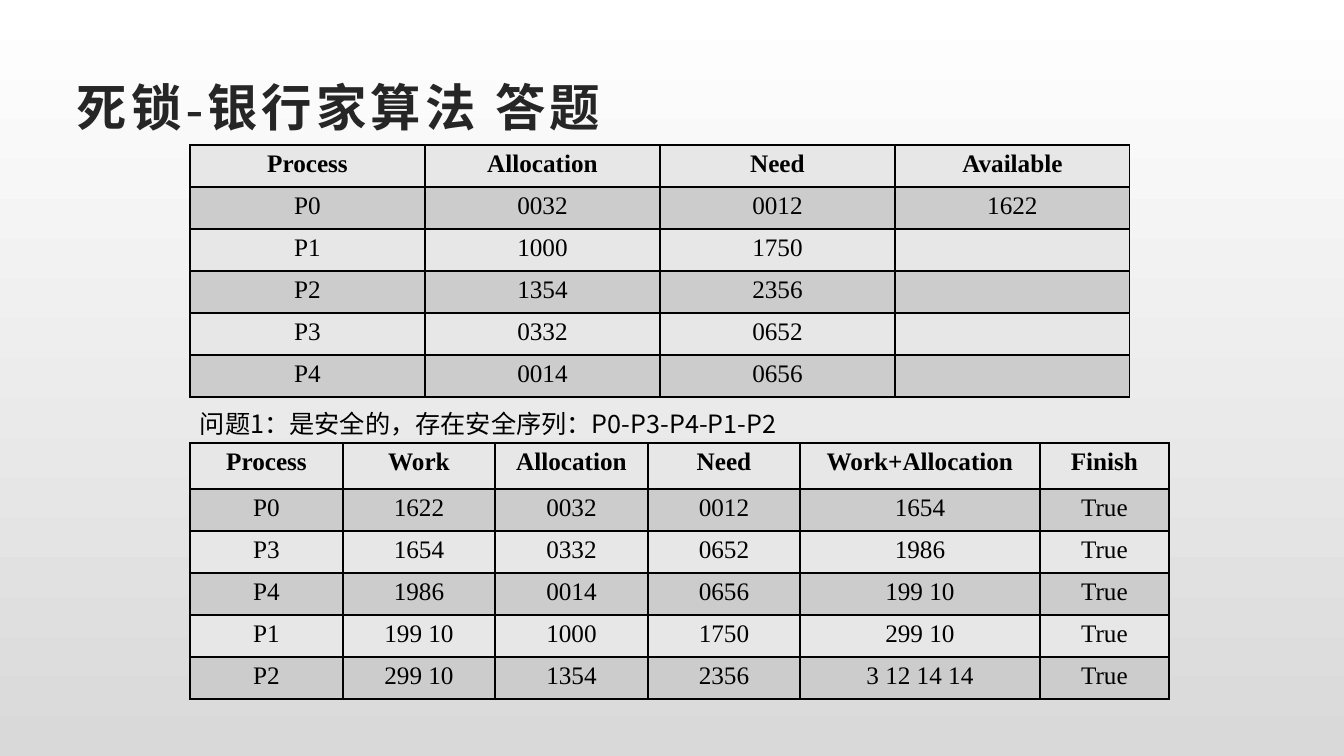
from lxml.etree import SubElement
from pptx import Presentation
from pptx.dml.color import RGBColor
from pptx.enum.text import MSO_ANCHOR, PP_ALIGN
from pptx.oxml.ns import qn
from pptx.util import Pt

TITLE = "死锁-银行家算法 答题"
ANSWER = "问题1：是安全的，存在安全序列：P0-P3-P4-P1-P2"

STATE = [
    ("Process", "Allocation", "Need", "Available"),
    ("P0", "0032", "0012", "1622"),
    ("P1", "1000", "1750", ""),
    ("P2", "1354", "2356", ""),
    ("P3", "0332", "0652", ""),
    ("P4", "0014", "0656", ""),
]
CHECK = [
    ("Process", "Work", "Allocation", "Need", "Work+Allocation", "Finish"),
    ("P0", "1622", "0032", "0012", "1654", "True"),
    ("P3", "1654", "0332", "0652", "1986", "True"),
    ("P4", "1986", "0014", "0656", "199 10", "True"),
    ("P1", "199 10", "1000", "1750", "299 10", "True"),
    ("P2", "299 10", "1354", "2356", "3 12 14 14", "True"),
]

WIDE, HIGH = 1344, 756
LEFT = 190
ROW = 42
STATE_COLS = [235] * 4
CHECK_COLS = [153, 152, 153, 152, 240, 129]

BLACK = RGBColor(0x00, 0x00, 0x00)
DARK = RGBColor(0x26, 0x26, 0x26)
WHITE = RGBColor(0xFF, 0xFF, 0xFF)
GREY = RGBColor(0xD9, 0xD9, 0xD9)
BANDS = [RGBColor(0xE7, 0xE7, 0xE7), RGBColor(0xCC, 0xCC, 0xCC)]

SERIF, SANS = "Times New Roman", "Noto Sans CJK SC"
TITLE_FONT = {"size": Pt(36), "name": SERIF, "bold": True}
ANSWER_FONT = {"size": Pt(18), "name": SANS}
HEAD_FONT = {"size": Pt(18), "name": SERIF, "bold": True}
BODY_FONT = {**HEAD_FONT, "bold": False}


def px(n):
    return round(n * 914400 / 100.8)


def write(para, text, style, color):
    """Add a run in the given style, with the sans font for Chinese."""
    run = para.add_run()
    run.text = text
    for key, value in style.items():
        setattr(run.font, key, value)
    run.font.color.rgb = color
    SubElement(run.font._element, qn("a:ea"), typeface=SANS)
    return run


def add_text(slide, box, text, style, color):
    shape = slide.shapes.add_textbox(*map(px, box))
    frame = shape.text_frame
    frame.word_wrap = True
    frame.vertical_anchor = MSO_ANCHOR.MIDDLE
    return write(frame.paragraphs[0], text, style, color)


def add_border(cell):
    props = cell._tc.get_or_add_tcPr()
    for side in ("a:lnL", "a:lnR", "a:lnT", "a:lnB"):
        line = SubElement(props, qn(side), w=str(Pt(1)))
        fill = SubElement(line, qn("a:solidFill"))
        SubElement(fill, qn("a:srgbClr"), val=str(BLACK))


def add_grid(slide, top, cols, rows, data):
    frame = slide.shapes.add_table(
        len(rows), len(cols), px(LEFT), px(top), px(sum(cols)), px(sum(rows)))
    table = frame.table
    for col, width in zip(table.columns, cols):
        col.width = px(width)
    for r, (row, height) in enumerate(zip(table.rows, rows)):
        row.height = px(height)
        for cell, text in zip(row.cells, data[r]):
            add_border(cell)
            cell.fill.solid()
            cell.fill.fore_color.rgb = BANDS[r % 2]
            para = cell.text_frame.paragraphs[0]
            para.alignment = PP_ALIGN.CENTER
            if text:
                write(para, text, BODY_FONT if r else HEAD_FONT, BLACK)


def main():
    deck = Presentation()
    deck.slide_width, deck.slide_height = px(WIDE), px(HIGH)
    slide = deck.slides.add_slide(deck.slide_layouts[6])

    back = slide.background.fill
    back.gradient()
    back.gradient_angle = 270
    for stop, color in zip(back.gradient_stops, (WHITE, GREY)):
        stop.color.rgb = color

    title = add_text(slide, (67, 67, 1210, 78), TITLE, TITLE_FONT, DARK)
    title.font._element.set("spc", "300")
    add_grid(slide, 443, CHECK_COLS, [46] + [ROW] * 5, CHECK)
    add_grid(slide, 145, STATE_COLS, [ROW] * 6, STATE)
    add_text(slide, (LEFT, 403, 832, 40), ANSWER, ANSWER_FONT, BLACK)
    deck.save("out.pptx")


if __name__ == "__main__":
    main()
